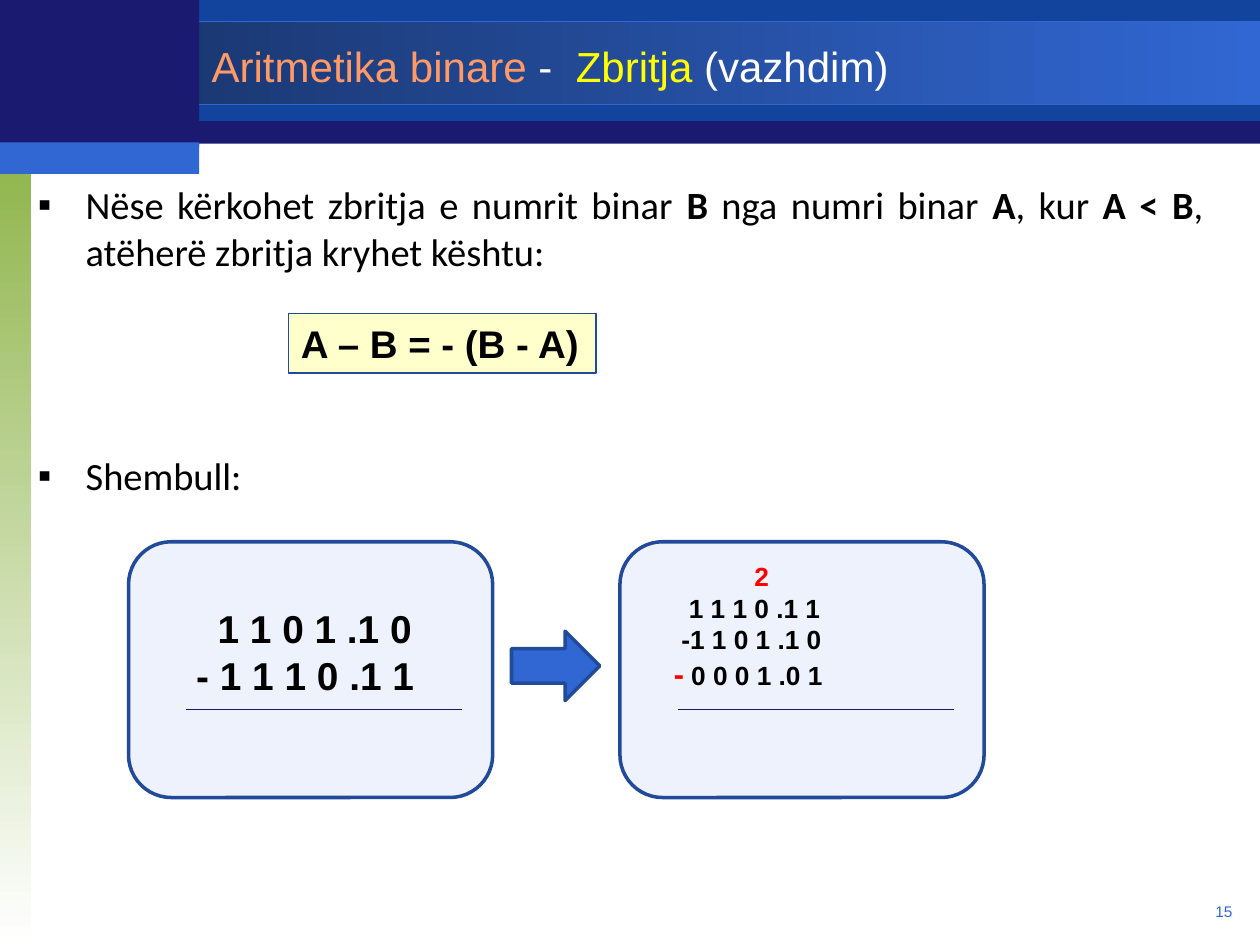
from pptx import Presentation
from pptx.dml.color import RGBColor
from pptx.enum.shapes import MSO_CONNECTOR as Connector, MSO_SHAPE as Shape
from pptx.enum.text import MSO_ANCHOR as Anchor, MSO_AUTO_SIZE as AutoSize, PP_ALIGN as Align
from pptx.oxml.ns import qn
from pptx.util import Inches, Pt
from lxml.etree import SubElement

NAVY, BLUE, SKY, EDGE = "1A1A70", "12449E", "3167D3", "214A9B"
BLACK, RED, WHITE = "000000", "FF0000", "FFFFFF"

BANDS = [
    ((0, 0.01, 10, 1.13), [NAVY], 0, None),
    ((1.58, 0, 8.42, 0.96), [BLUE], 0, None),
    ((0, 0.17, 10, 0.66), ["173062", SKY], 0, SKY),
    ((0, 1.25, 0.25, 6.25), ["90B54D", WHITE], 270, None),
    ((0, 0, 1.58, 1.17), [NAVY], 0, None),
    ((0, 1.13, 1.58, 0.25), [SKY], 0, None),
]
TITLE = [("Aritmetika binare ", "FF9966"), ("-  ", WHITE), ("Zbritja ", "FFFF00"), ("(vazhdim)", WHITE)]
BODY = [
    (0, [("Nëse kërkohet zbritja e numrit binar ", False), ("B", True), (" nga numri binar ", False),
         ("A", True), (", kur ", False), ("A < B", True), (", atëherë zbritja kryhet kështu:", False)]),
    (102, [("Shembull:", False)]),
]
FORMULA = "A – B = - (B - A)"
CARDS = [
    (1.02, 0.4, [(0.51, [("1 1 0 1 .1 0", 22.2, BLACK)]),
                 (0.34, [("- 1 1 1 0 .1 1", 22.2, BLACK)])]),
    (4.92, 0.05, [(0.87, [("2", 15, RED)]),
                  (0.35, [("1 1 1 0 .1 1", 15, BLACK)]),
                  (0.29, [("-1 1 0 1 .1 0", 15, BLACK)]),
                  (0.23, [("-", 17.5, RED), (" 0 0 0 1 .0 1", 15, BLACK)])]),
]


def rgb(color):
    """Turn a hex string into a colour."""
    return RGBColor.from_string(color)


def add_span(para, text, size, color, font="Arial", bold=False):
    """Add a formatted run to a paragraph."""
    span = para.add_run()
    span.text = text
    span.font.name, span.font.size, span.font.bold = font, Pt(size), bold
    span.font.color.rgb = rgb(color)


def add_box(page, kind, place, colors, angle=0, line=None, weight=0.75):
    """Add a shape with a plain or two-colour fill and an optional line."""
    box = page.shapes.add_shape(kind, *map(Inches, place))
    box.shadow.inherit = False
    if len(colors) == 1:
        box.fill.solid()
        box.fill.fore_color.rgb = rgb(colors[0])
    else:
        box.fill.gradient()
        box.fill.gradient_angle = angle
        for stop, color in zip(box.fill.gradient_stops, colors):
            stop.color.rgb = rgb(color)
    if line:
        box.line.color.rgb = rgb(line)
        box.line.width = Pt(weight)
    else:
        box.line.fill.background()
    return box


def place_holder(holder, place, anchor):
    """Move a placeholder, bring it to the front and return its text frame."""
    holder.left, holder.top, holder.width, holder.height = map(Inches, place)
    holder.element.getparent().append(holder.element)
    frame = holder.text_frame
    frame.auto_size, frame.vertical_anchor, frame.word_wrap = AutoSize.NONE, anchor, True
    return frame


def next_para(frame, index):
    """Return the first paragraph or a new one."""
    return frame.add_paragraph() if index else frame.paragraphs[0]


def add_bullet(para):
    """Give a paragraph a hanging square bullet."""
    props = para._p.get_or_add_pPr()
    props.set("marL", str(Inches(0.38)))
    props.set("indent", str(-Inches(0.38)))
    SubElement(SubElement(props, qn("a:buClr")), qn("a:srgbClr")).set("val", BLACK)
    SubElement(props, qn("a:buFont")).set("typeface", "Arial")
    SubElement(props, qn("a:buChar")).set("char", "▪")


def add_card(page, left, inset, lines):
    """Add a rounded card with a subtraction and its rule."""
    card = add_box(page, Shape.FLOWCHART_ALTERNATE_PROCESS, (left, 4.3, 2.89, 2.03), ["E7EDFB"], line=EDGE, weight=2)
    tint = card.fill._xPr.find(qn("a:solidFill"))[0]
    SubElement(tint, qn("a:alpha")).set("val", "69000")
    frame = card.text_frame
    frame.vertical_anchor, frame.margin_top = Anchor.TOP, Inches(inset)
    for index, (indent, spans) in enumerate(lines):
        para = next_para(frame, index)
        para.alignment = Align.LEFT
        para._p.get_or_add_pPr().set("marL", str(Inches(indent)))
        for text, size, color in spans:
            add_span(para, text, size, color, bold=True)
    rule = page.shapes.add_connector(
        Connector.STRAIGHT, *map(Inches, (left + 0.46, 5.63, left + 2.65, 5.63)))
    rule.line.color.rgb = rgb("17176F")
    rule.line.width = Pt(1)
    SubElement(rule.element.spPr, qn("a:effectLst"))


def main():
    """Build the slide."""
    deck = Presentation()
    deck.slide_width, deck.slide_height = Inches(10), Inches(7.5)
    page = deck.slides.add_slide(deck.slide_layouts[1])
    for place, colors, angle, line in BANDS:
        add_box(page, Shape.RECTANGLE, place, colors, angle, line)

    number = page.shapes.add_textbox(*map(Inches, (7.55, 7.11, 2.33, 0.27))).text_frame
    number.word_wrap = True
    number.paragraphs[0].alignment = Align.RIGHT
    add_span(number.paragraphs[0], "15", 8.8, SKY)

    title = place_holder(page.shapes.title, (1.58, 0.23, 7.5, 0.58), Anchor.MIDDLE).paragraphs[0]
    title.alignment = Align.LEFT
    for text, color in TITLE:
        add_span(title, text, 24, color)

    body = place_holder(page.placeholders[1], (0.2, 1.39, 9.45, 5.72), Anchor.TOP)
    for index, (gap, spans) in enumerate(BODY):
        para = next_para(body, index)
        add_bullet(para)
        para.alignment, para.space_before = Align.JUSTIFY, Pt(gap)
        for text, bold in spans:
            add_span(para, text, 22, BLACK, "Calibri", bold)

    formula = add_box(page, Shape.RECTANGLE, (2.29, 2.49, 2.44, 0.47), ["FFFFCC"], line=EDGE).text_frame
    formula.vertical_anchor = Anchor.TOP
    formula.paragraphs[0].alignment = Align.LEFT
    add_span(formula.paragraphs[0], FORMULA, 22, BLACK, bold=True)

    for card in CARDS:
        add_card(page, *card)
    add_box(page, Shape.RIGHT_ARROW, (4.06, 5.01, 0.7, 0.55), [SKY], line=EDGE, weight=2)
    deck.save("out.pptx")


if __name__ == "__main__":
    main()
